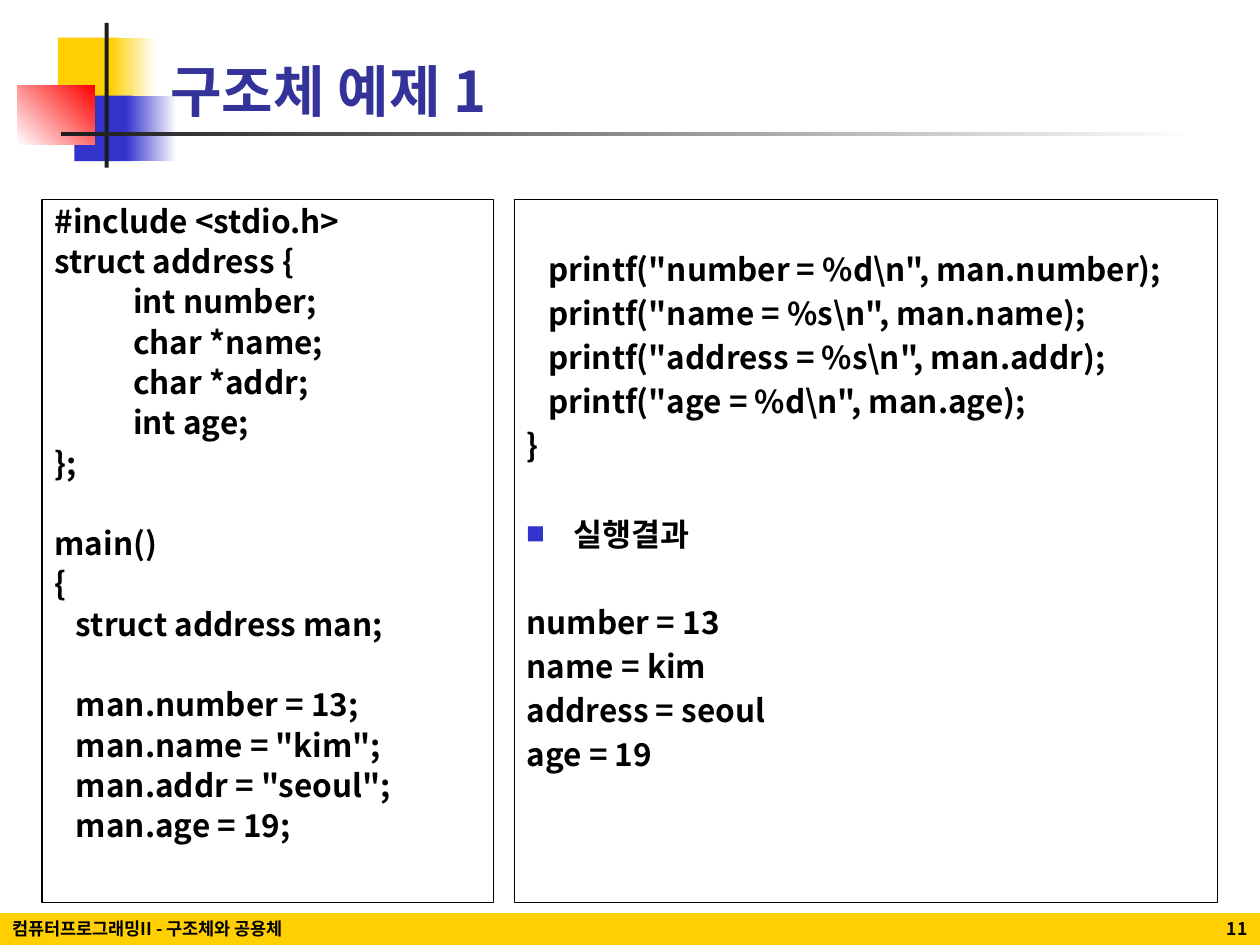
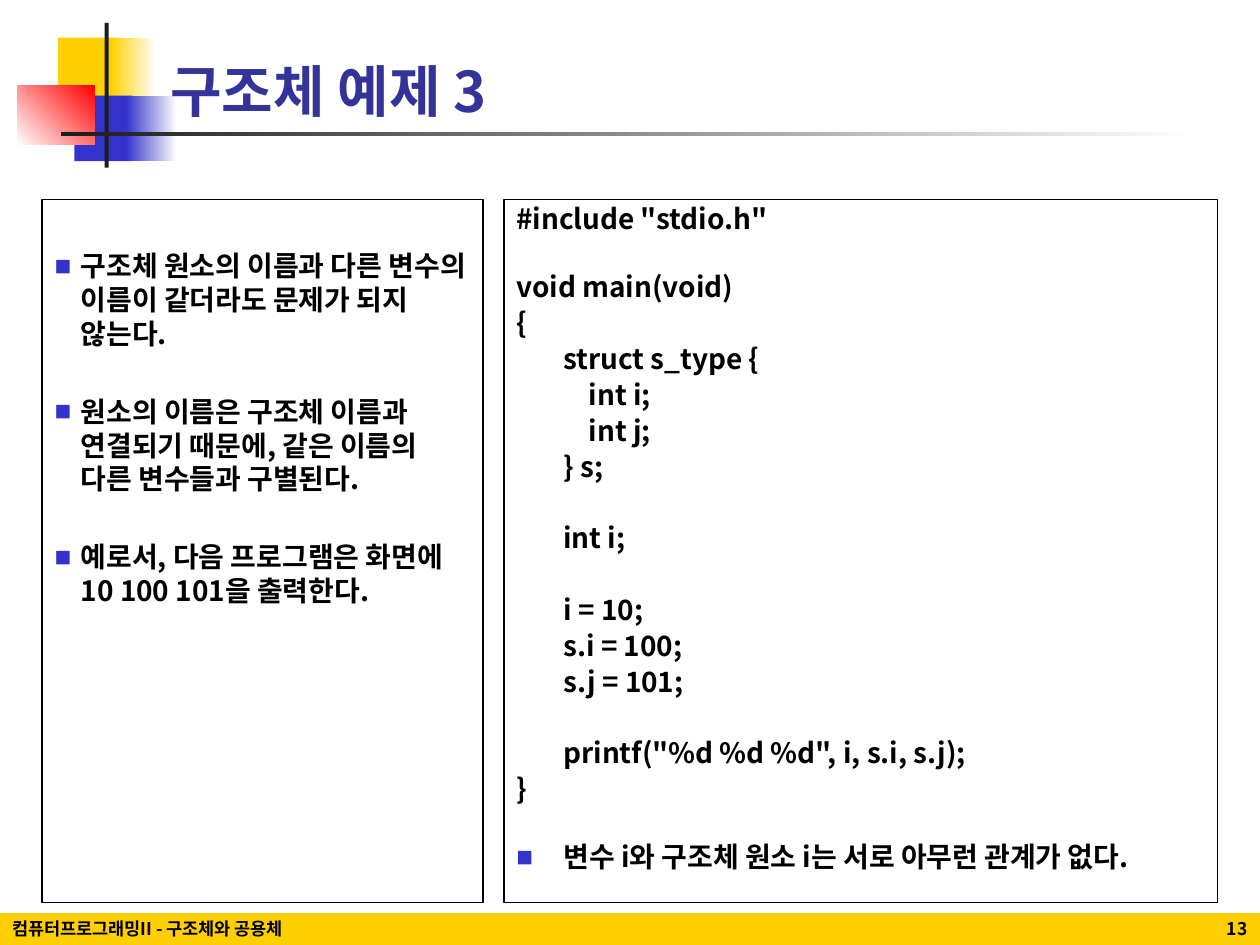
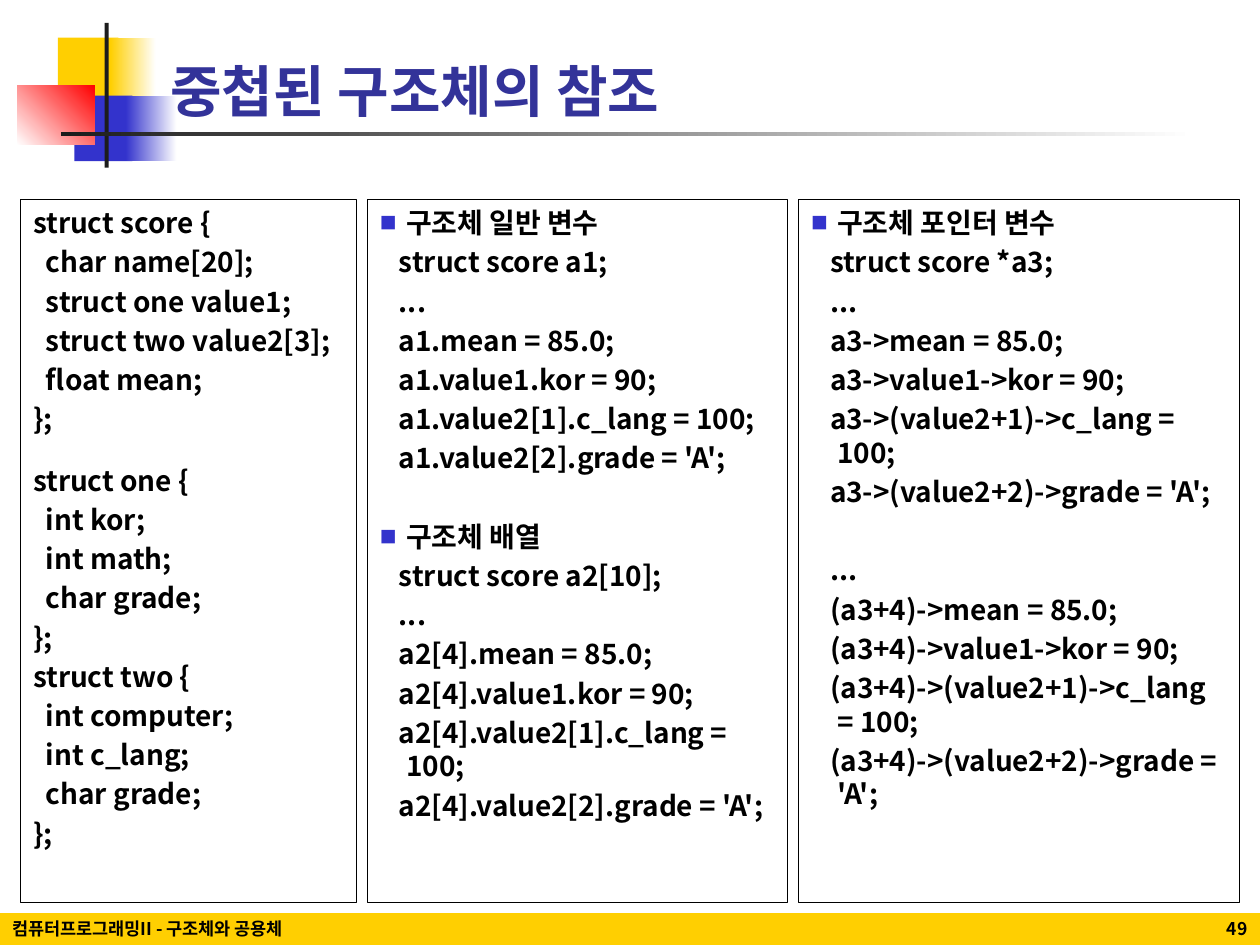
from dataclasses import dataclass

from lxml.etree import SubElement
from pptx import Presentation
from pptx.dml.color import RGBColor
from pptx.enum.shapes import MSO_SHAPE
from pptx.enum.text import MSO_ANCHOR, MSO_AUTO_SIZE, PP_ALIGN
from pptx.oxml.ns import qn
from pptx.util import Cm, Pt

COLORS = {
    "yellow": "FFCF01",
    "blue": "3333CC",
    "red": "FF0000",
    "dark": "1C1C1C",
    "white": "FFFFFF",
    "black": "000000",
    "title": "333399",
}
FONT = "Noto Sans CJK KR"
COURSE = "컴퓨터프로그래밍II - 구조체와 공용체"
LINE_HEIGHT = 1.2
SPACE_BEFORE = 0.2
COLUMN_TOP, COLUMN_HEIGHT = 4.02, 14.18
BAND_TOP, BAND_HEIGHT = 18.41, 0.64
INSET = Cm(0.13)


@dataclass(frozen=True)
class Ornament:
    left: float
    top: float
    width: float
    height: float
    start: str
    end: str = ""
    angle: int = 0


@dataclass(frozen=True)
class Block:
    """Consecutive lines, set off from the text above by a number of line heights."""
    text: str
    gap: float = 0
    bullet: bool = False


@dataclass(frozen=True)
class Column:
    width: float
    size: int
    blocks: tuple[Block, ...]
    hanging: float = 0.53
    spacing: float = 1.0


@dataclass(frozen=True)
class Page:
    number: int
    title: str
    left: float
    gutter: float
    columns: tuple[Column, ...]


ORNAMENTS = (
    Ornament(1.17, 0.76, 1.22, 1.32, "yellow"),
    Ornament(2.23, 0.76, 0.91, 1.32, "yellow", "white"),
    Ornament(1.5, 1.93, 1.17, 1.32, "blue"),
    Ornament(2.54, 1.93, 1.02, 1.32, "blue", "white"),
    Ornament(0.35, 1.72, 1.56, 1.2, "white", "red", 45),
    Ornament(2.11, 0.46, 0.08, 2.92, "dark"),
    Ornament(1.23, 2.66, 22.86, 0.08, "dark", "white"),
)

PAGES = (
    Page(11, "구조체 예제 1", 0.85, 0.42, (
        Column(9.1, 18, (
            Block("""#include <stdio.h>
struct address {
           int number;
           char *name;
           char *addr;
           int age;
};"""),
            Block("""main()
{
   struct address man;""", gap=1),
            Block("""   man.number = 13;
   man.name = "kim";
   man.addr = "seoul";
   man.age = 19;""", gap=1),
        ), spacing=0.9),
        Column(14.18, 18, (
            Block("""   printf("number = %d\\n", man.number);
   printf("name = %s\\n", man.name);
   printf("address = %s\\n", man.addr);
   printf("age = %d\\n", man.age);
}""", gap=1),
            Block("실행결과", gap=1, bullet=True),
            Block("""number = 13
name = kim
address = seoul
age = 19""", gap=1),
        ), hanging=0.95),
    )),
    Page(13, "구조체 예제 3", 0.85, 0.42, (
        Column(8.89, 16, (
            Block("구조체 원소의 이름과 다른 변수의 이름이 같더라도 문제가 되지 않는다.",
                  gap=1.1, bullet=True),
            Block("원소의 이름은 구조체 이름과 연결되기 때문에, 같은 이름의 다른 변수들과 구별된다.",
                  gap=1, bullet=True),
            Block("예로서, 다음 프로그램은 화면에 10 100 101을 출력한다.",
                  gap=1, bullet=True),
        )),
        Column(14.39, 16, (
            Block('#include "stdio.h"'),
            Block("""void main(void)
{
\tstruct s_type {
\t    int i;
\t    int j;
\t} s;""", gap=0.9),
            Block("\tint i;", gap=1),
            Block("""\ti = 10;
\ts.i = 100;
\ts.j = 101;""", gap=1),
            Block("""\tprintf("%d %d %d", i, s.i, s.j);
}""", gap=1),
            Block("변수 i와 구조체 원소 i는 서로 아무런 관계가 없다.", gap=0.9, bullet=True),
        ), hanging=0.95, spacing=0.9),
    )),
    Page(49, "중첩된 구조체의 참조", 0.42, 0.22, (
        Column(6.77, 16, (
            Block("""struct score {
  char name[20];
  struct one value1;
  struct two value2[3];
  float mean;
};"""),
            Block("""struct one {
  int kor;
  int math;
  char grade;
};
struct two {
  int computer;
  int c_lang;
  char grade;
};""", gap=0.57),
        )),
        Column(8.47, 16, (
            Block("구조체 일반 변수", bullet=True),
            Block("""   struct score a1;
   ...
   a1.mean = 85.0;
   a1.value1.kor = 90;
   a1.value2[1].c_lang = 100;
   a1.value2[2].grade = 'A';"""),
            Block("구조체 배열", gap=1, bullet=True),
            Block("""   struct score a2[10];
   ...
   a2[4].mean = 85.0;
   a2[4].value1.kor = 90;
   a2[4].value2[1].c_lang = 100;
   a2[4].value2[2].grade = 'A';"""),
        )),
        Column(8.89, 16, (
            Block("구조체 포인터 변수", bullet=True),
            Block("""   struct score *a3;
   ...
   a3->mean = 85.0;
   a3->value1->kor = 90;
   a3->(value2+1)->c_lang = 100;
   a3->(value2+2)->grade = 'A';"""),
            Block("""   ...
   (a3+4)->mean = 85.0;
   (a3+4)->value1->kor = 90;
   (a3+4)->(value2+1)->c_lang = 100;
   (a3+4)->(value2+2)->grade = 'A';""", gap=1),
        )),
    )),
)


def rgb(name: str) -> RGBColor:
    return RGBColor.from_string(COLORS[name])


def style(para, size: int, color: str = "black") -> None:
    font = para.font
    font.size, font.bold, font.name = Pt(size), True, FONT
    font.color.rgb = rgb(color)
    defaults = para._p.get_or_add_pPr().find(qn("a:defRPr"))
    SubElement(defaults, qn("a:ea"), typeface=FONT)


def add_bullet(para) -> None:
    properties = para._p.get_or_add_pPr()
    color = SubElement(properties, qn("a:buClr"))
    SubElement(color, qn("a:srgbClr"), val=COLORS["blue"])
    SubElement(properties, qn("a:buSzPct"), val="60000")
    SubElement(properties, qn("a:buFont"), typeface=FONT)
    SubElement(properties, qn("a:buChar"), char="■")


def add_rectangle(slide, left: float, top: float, width: float, height: float):
    shape = slide.shapes.add_shape(
        MSO_SHAPE.RECTANGLE, Cm(left), Cm(top), Cm(width), Cm(height))
    shape.shadow.inherit = False
    shape.line.fill.background()
    return shape


def move_ornaments_to_layout(slide) -> None:
    """Draw the corner ornament and hand it to the layout that all slides share."""
    for index, item in enumerate(ORNAMENTS):
        shape = add_rectangle(slide, item.left, item.top, item.width, item.height)
        if item.end:
            shape.fill.gradient()
            shape.fill.gradient_angle = item.angle
            for stop, color in zip(shape.fill.gradient_stops, (item.start, item.end)):
                stop.color.rgb = rgb(color)
        else:
            shape.fill.solid()
            shape.fill.fore_color.rgb = rgb(item.start)
        shape.element.nvSpPr.cNvPr.id = 100 + index
        slide.slide_layout.shapes.element.append(shape.element)


def add_band(slide, left: float, width: float, text: str, alignment: PP_ALIGN) -> None:
    band = add_rectangle(slide, left, BAND_TOP, width, BAND_HEIGHT)
    band.fill.solid()
    band.fill.fore_color.rgb = rgb("yellow")
    frame = band.text_frame
    frame.vertical_anchor = MSO_ANCHOR.BOTTOM
    para = frame.paragraphs[0]
    para.text, para.alignment = text, alignment
    style(para, 10)


def set_title(slide, text: str) -> None:
    title = slide.shapes.title
    title.left, title.top, title.width, title.height = Cm(3.18), Cm(0.42), Cm(21.38), Cm(2.2)
    frame = title.text_frame
    frame.auto_size = MSO_AUTO_SIZE.NONE
    frame.vertical_anchor = MSO_ANCHOR.BOTTOM
    para = frame.paragraphs[0]
    para.text, para.alignment = text, PP_ALIGN.LEFT
    style(para, 32, "title")


def add_column(slide, left: float, column: Column) -> None:
    box = slide.shapes.add_textbox(
        Cm(left), Cm(COLUMN_TOP), Cm(column.width), Cm(COLUMN_HEIGHT))
    box.line.color.rgb = rgb("black")
    box.line.width = Pt(0.75)
    frame = box.text_frame
    frame.word_wrap = True
    pitch = column.size * (LINE_HEIGHT * column.spacing + SPACE_BEFORE)
    frame.margin_top = INSET + Pt(column.blocks[0].gap * pitch)

    lines = [(block, index, text) for block in column.blocks
             for index, text in enumerate(block.text.split("\n"))]
    for position, (block, index, text) in enumerate(lines):
        para = frame.add_paragraph() if position else frame.paragraphs[0]
        para.text = text
        para.line_spacing = column.spacing
        if position:
            gap = 0 if index else block.gap * pitch
            para.space_before = Pt(round(column.size * SPACE_BEFORE + gap, 1))
        properties = para._p.get_or_add_pPr()
        properties.set("marL", str(Cm(column.hanging)))
        properties.set("indent", str(-Cm(column.hanging)))
        if block.bullet:
            add_bullet(para)
        style(para, column.size)


def add_page(deck, page: Page):
    slide = deck.slides.add_slide(deck.slide_layouts.get_by_name("Title Only"))
    set_title(slide, page.title)
    add_band(slide, 0, 22.86, COURSE, PP_ALIGN.LEFT)
    add_band(slide, 22.66, 2.74, str(page.number), PP_ALIGN.RIGHT)
    left = page.left
    for column in page.columns:
        add_column(slide, left, column)
        left += column.width + page.gutter
    return slide


def main() -> None:
    deck = Presentation()
    deck.slide_width, deck.slide_height = Cm(25.4), Cm(19.05)
    slides = [add_page(deck, page) for page in PAGES]
    move_ornaments_to_layout(slides[0])
    deck.save("out.pptx")


if __name__ == "__main__":
    main()
